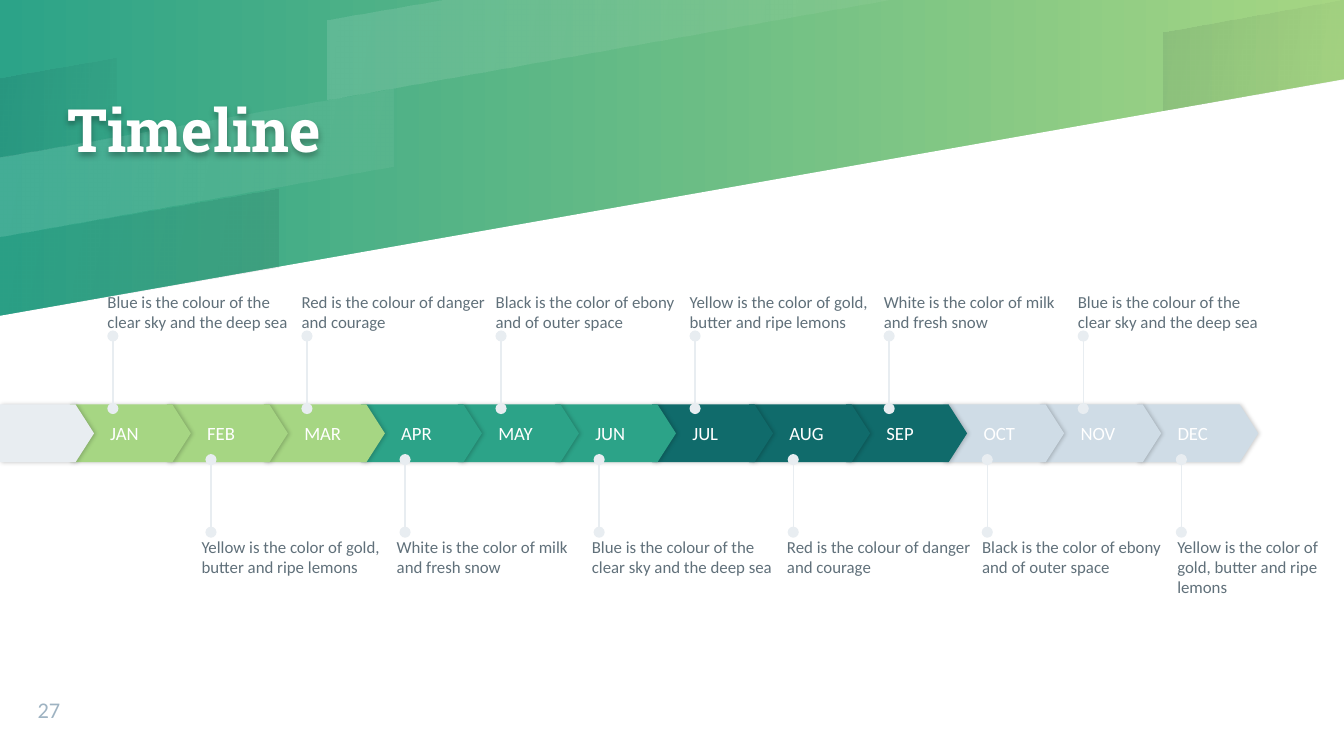
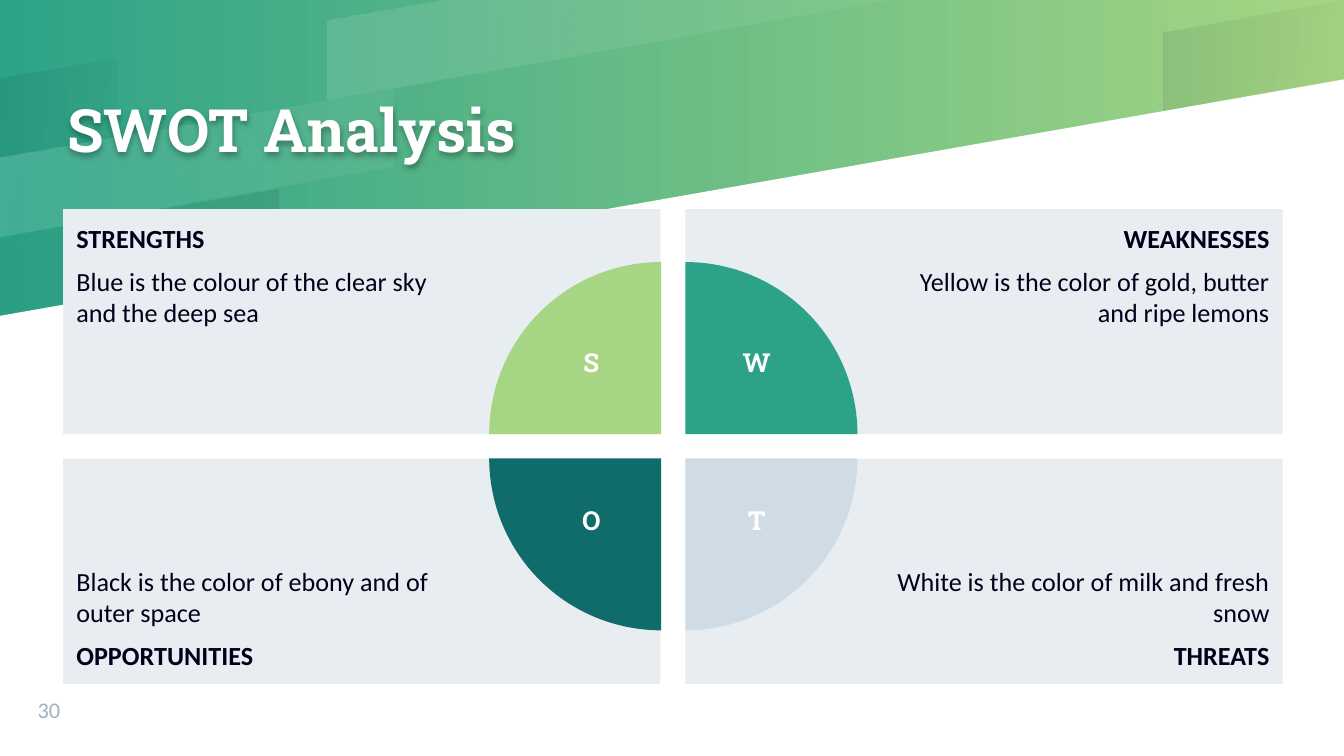
from lxml.etree import SubElement
from pptx import Presentation
from pptx.dml.color import RGBColor
from pptx.enum.shapes import MSO_CONNECTOR as Connector, MSO_SHAPE as Preset
from pptx.enum.text import MSO_ANCHOR as Anchor, PP_ALIGN as Align
from pptx.oxml.ns import qn
from pptx.util import Inches, Pt

WIDTH, HEIGHT = Inches(10), Inches(5.625)
COLUMNS = 100
CELL = WIDTH / COLUMNS
LIME, GREEN, TEAL, MIST = "A6D683", "2CA388", "106B6B", "CFDCE6"
PALE, WHITE, NAVY, SLATE, STEEL = "E8EDF1", "FFFFFF", "00001A", "60707A", "9EB3C2"
BODY_FONT, TITLE_FONT = "Calibri", "Roboto Slab"

BANDS = [
    ([(33.2, 0), (24.4, 1.5), (24.4, 7.4), (66.5, 0)], WHITE, (12, 5)),
    ([(0, 5.8), (0, 11.7), (8.7, 10.2), (8.7, 4.3)], NAVY, (8, 2)),
    ([(0, 17.6), (0, 23.5), (20.7, 19.9), (20.7, 14)], NAVY, (2, 8)),
    ([(100, 0), (99.9, 0), (86.6, 2.4), (86.6, 8.2), (100, 5.9)], NAVY, (8, 2)),
    ([(0, 11.7), (0, 17.6), (29.3, 12.4), (29.3, 6.6)], WHITE, (12, 5)),
]
MONTHS = "JAN FEB MAR APR MAY JUN JUL AUG SEP OCT NOV DEC".split()
QUARTER_COLORS = [LIME, GREEN, TEAL, MIST]
BLUE = "Blue is the colour of the clear sky and the deep sea"
RED = "Red is the colour of danger and courage"
BLACK = "Black is the color of ebony and of outer space"
YELLOW = "Yellow is the color of gold, butter and ripe lemons"
MILK = "White is the color of milk and fresh snow"
UPPER_NOTES = [BLUE, RED, BLACK, YELLOW, MILK, BLUE]
LOWER_NOTES = [YELLOW, MILK, BLUE, RED, BLACK, YELLOW]
SWOT = [
    ("STRENGTHS", BLUE, LIME, 0),
    ("WEAKNESSES", YELLOW, GREEN, 90),
    ("OPPORTUNITIES", BLACK, TEAL, 270),
    ("THREATS", MILK, MIST, 180),
]


def cells(*counts):
    """Turn counts of grid cells into lengths."""
    return [round(count * CELL) for count in counts]


def rgb(color):
    """Turn a hex string into a colour."""
    return RGBColor.from_string(color)


def gradient(fill, colors, angle=0):
    """Give a fill a two-stop linear gradient, with the angle clockwise."""
    fill.gradient()
    fill.gradient_angle = -angle % 360
    for stop, color in zip(fill.gradient_stops, colors):
        stop.color.rgb = rgb(color)


def paint(shape, color):
    """Fill a shape with one colour, without line or shadow."""
    shape.fill.solid()
    shape.fill.fore_color.rgb = rgb(color)
    shape.line.fill.background()
    shape.shadow.inherit = False


def cast_shadow(shape, opacity, blur, distance, direction=0):
    """Give a shape a soft black outer shadow."""
    shape.shadow.inherit = False
    effects = shape._element.spPr.find(qn("a:effectLst"))
    shadow = SubElement(effects, qn("a:outerShdw"), blurRad=str(Pt(blur)),
                        dist=str(Pt(distance)), dir=str(direction * 60000),
                        algn="bl", rotWithShape="0")
    color = SubElement(shadow, qn("a:srgbClr"), val="000000")
    SubElement(color, qn("a:alpha"), val=str(opacity * 1000))


def add_outline(slide, points, color):
    """Draw a closed outline through points given in cells."""
    start, *others = [cells(*point) for point in points]
    builder = slide.shapes.build_freeform(*start)
    builder.add_line_segments(others, close=True)
    shape = builder.convert_to_shape()
    paint(shape, color)
    return shape


def add_band(slide, points, color, opacities):
    """Draw a slanted band that fades between two opacities."""
    shape = add_outline(slide, points, color)
    gradient(shape.fill, [color, color], 10)
    for stop, opacity in zip(shape._element.spPr.iter(qn("a:srgbClr")), opacities):
        SubElement(stop, qn("a:alpha"), val=str(opacity * 1000))


def add_preset(slide, preset, box, color, adjustments=()):
    """Draw a preset shape in a box given in cells."""
    shape = slide.shapes.add_shape(preset, *cells(*box))
    paint(shape, color)
    for index, value in enumerate(adjustments):
        shape.adjustments[index] = value
    return shape


def write(shape, text, size, color, font=BODY_FONT, bold=False, align=Align.LEFT,
          anchor=Anchor.TOP, insets=(0, 0, 0, 0), spacing=0, leading=1.0):
    """Add a formatted paragraph to a shape."""
    frame = shape.text_frame
    frame.word_wrap = True
    frame.vertical_anchor = anchor
    (frame.margin_left, frame.margin_top,
     frame.margin_right, frame.margin_bottom) = cells(*insets)
    paragraph = frame.add_paragraph() if frame.text else frame.paragraphs[0]
    paragraph.alignment = align
    paragraph.line_spacing = leading
    paragraph.space_before = paragraph.space_after = Pt(spacing)
    run = paragraph.add_run()
    run.text = text
    run.font.name, run.font.size, run.font.bold = font, Pt(size), bold
    run.font.color.rgb = rgb(color)


def add_text(slide, text, box, **style):
    """Place a text box in a box given in cells."""
    shape = slide.shapes.add_textbox(*cells(*box))
    write(shape, text, **style)
    return shape


def add_pin(slide, column, start, end):
    """Draw a vertical line with a dot at each end."""
    pin = slide.shapes.add_connector(
        Connector.STRAIGHT, *cells(column, start, column, end))
    pin.line.color.rgb = rgb(PALE)
    pin.line.width = Pt(0.75)
    line = pin.line._get_or_add_ln()
    for end_name in ("a:headEnd", "a:tailEnd"):
        SubElement(line, qn(end_name), type="oval")
    SubElement(pin._element.spPr, qn("a:effectLst"))


def add_base(presentation, title, number):
    """Add a slide with the gradient, bands, title and slide number."""
    slide = presentation.slides.add_slide(presentation.slide_layouts[6])
    gradient(slide.background.fill, [GREEN, LIME])
    add_outline(slide, [(0, 56.25), (100, 56.25), (100, 5.9), (0, 23.5)], WHITE)
    for band in BANDS:
        add_band(slide, *band)
    heading = add_text(slide, title, (5, 0, 60, 19.8), size=32, color=WHITE,
                       font=TITLE_FONT, bold=True, anchor=Anchor.MIDDLE, leading=0.9)
    cast_shadow(heading, 30, 3, 1.5, 90)
    add_text(slide, str(number), (2.8, 51.1, 5.3, 2.7), size=12, color=STEEL,
             anchor=Anchor.BOTTOM)
    return slide


def add_arrow(slide, left, width, color, label=None):
    """Draw one arrow of the month strip."""
    arrow = add_preset(slide, Preset.PENTAGON, (left, 30.1, width, 4.3), color, [0.32])
    cast_shadow(arrow, 20, 2.2, 0.8)
    if label:
        write(arrow, label, size=10, color=WHITE, anchor=Anchor.MIDDLE,
              insets=(3, 0, 0, 0))


def build_timeline(presentation):
    """Build the timeline of twelve months with notes above and below."""
    slide = add_base(presentation, "Timeline", 27)
    step = 7.22
    for index, month in reversed(list(enumerate(MONTHS))):
        add_arrow(slide, 5.2 + index * step, 9, QUARTER_COLORS[index // 3], month)
    add_arrow(slide, 0, 7, PALE)
    style = dict(size=9, color=SLATE)
    for index, note in enumerate(UPPER_NOTES):
        add_pin(slide, 8.4 + index * 2 * step, 30.4, 25)
        add_text(slide, note, (8 + index * 2 * step, 18.9, 13.7, 5.8),
                 anchor=Anchor.BOTTOM, **style)
    for index, note in enumerate(LOWER_NOTES):
        left = 15 + index * 14.52
        add_pin(slide, 15.7 + index * 2 * step, 39.6, 34.2)
        add_text(slide, note, (left, 39.9, min(13.7, 98.9 - left), 5.8), **style)


def build_swot(presentation):
    """Build the four cards with a quarter circle and a letter in each."""
    slide = add_base(presentation, "SWOT Analysis", 30)
    places = [(index % 2, index // 2) for index in range(len(SWOT))]
    for (column, row), (heading, note, _, _) in zip(places, SWOT):
        card = add_preset(slide, Preset.RECTANGLE,
                          (4.7 + column * 46.3, 15.55 + row * 18.6, 44.45, 16.75), PALE)
        style = dict(size=14, color=NAVY,
                     align=Align.RIGHT if column else Align.LEFT,
                     anchor=Anchor.BOTTOM if row else Anchor.TOP,
                     insets=(15, 1, 1, 1) if column else (1, 1, 15, 1))
        lines = [note, heading] if row else [heading, note]
        for position, text in enumerate(lines):
            write(card, text, bold=text == heading, spacing=6 * position, **style)
    for (column, row), (_, _, color, rotation) in zip(places, SWOT):
        pie = add_preset(slide, Preset.PIE,
                         (36.4 + column * 1.8, 19.5 + row * 1.8, 25.6, 25.6),
                         color, [108, 162])
        pie.rotation = rotation
    for (column, row), (heading, *_) in zip(places, SWOT):
        add_text(slide, heading[0], (40.6 + column * 12.3, 24.8 + row * 11.7, 6.8, 4.8),
                 size=14, color=WHITE, font=TITLE_FONT, bold=True,
                 align=Align.CENTER, insets=(1, 1, 1, 1))


def main():
    """Build both slides and save them."""
    presentation = Presentation()
    presentation.slide_width, presentation.slide_height = WIDTH, HEIGHT
    build_timeline(presentation)
    build_swot(presentation)
    presentation.save("out.pptx")


if __name__ == "__main__":
    main()
